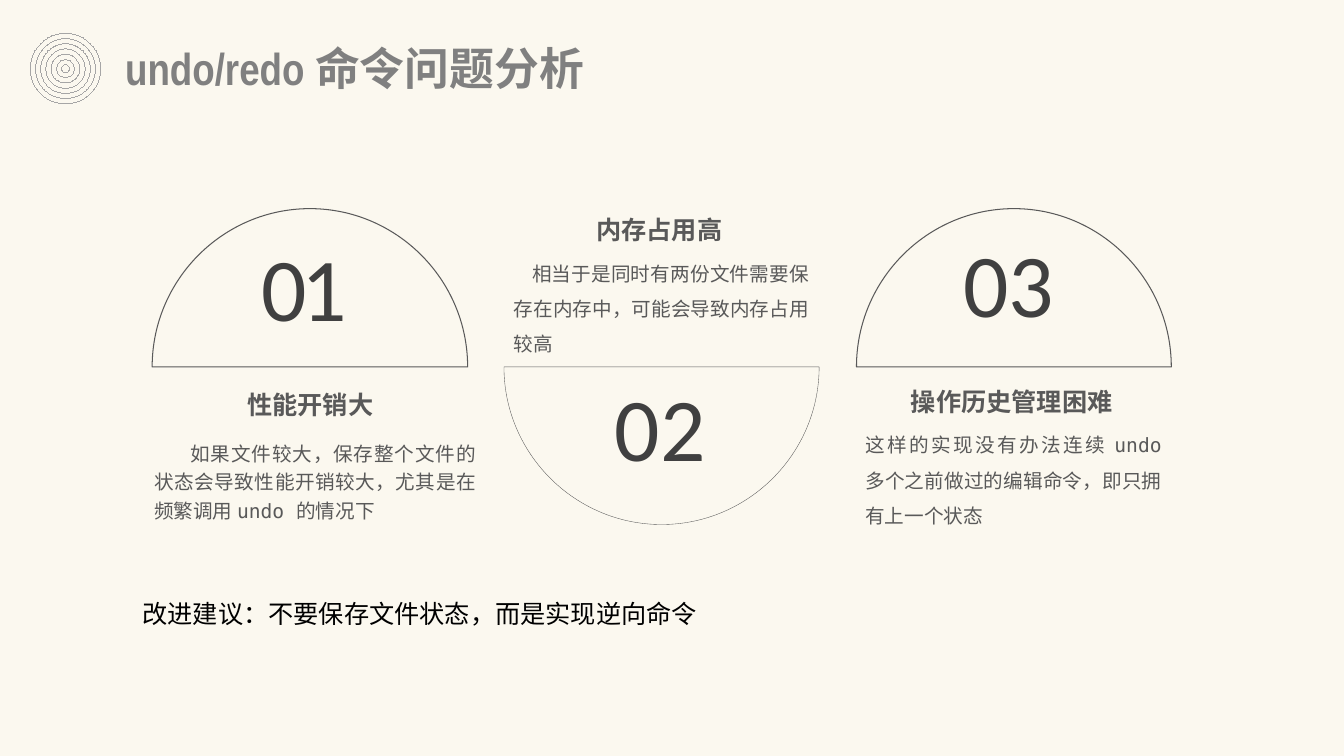
from dataclasses import dataclass

from lxml import etree
from pptx import Presentation
from pptx.dml.color import RGBColor
from pptx.enum.shapes import MSO_SHAPE
from pptx.enum.text import MSO_AUTO_SIZE, PP_ALIGN
from pptx.oxml.ns import qn
from pptx.slide import Slide
from pptx.util import Pt

PX = 3048  # EMU per px, 300 px to the inch
WIDE, HIGH = 4000, 2250
OVAL, RECT = MSO_SHAPE.OVAL, MSO_SHAPE.RECTANGLE
GROW = MSO_AUTO_SIZE.SHAPE_TO_FIT_TEXT
LEFT, MID, JUST = PP_ALIGN.LEFT, PP_ALIGN.CENTER, PP_ALIGN.JUSTIFY
MONO, SANS, SLIM = "DejaVu Sans Mono", "Calibri", "Arial Narrow"
COLORS = {
    "paper": "FBF8EF",
    "ring": "A6A6A6",
    "title": "808080",
    "body": "595959",
    "digit": "404040",
    "note": "000000",
}
BEND = 0.55  # handle length of a quarter circle, in radii


@dataclass
class Style:
    font: str
    size: int
    color: str
    bold: bool = False
    align: PP_ALIGN = LEFT
    lines: float = 1.0
    before: float = 0
    after: float = 0
    pad: int = 15


@dataclass
class Label:
    text: str
    left: int
    top: int
    width: int
    height: int
    style: Style
    indent: int = 0
    track: int = 0  # hundredths of a point


@dataclass
class Dome:
    left: int
    width: int
    rise: int  # negative hangs below the shared edge
    line: float


TITLE = Style(SLIM, 32, "title", bold=True)
DIGIT = Style(SANS, 64, "digit")
HEAD = Style(MONO, 18, "body", True, MID, 1.2, before=8.5, pad=0)
TIGHT = Style(MONO, 14, "body", align=JUST, lines=1.2, before=8.5)
LOOSE = Style(MONO, 14, "body", align=JUST, lines=1.5, after=6)
NOTE = Style(SANS, 18, "note")

BASE = 1092  # shared flat edge of the half discs
DOMES = [
    Dome(453, 939, 471, 0.75),
    Dome(1500, 938, -469, 0.25),
    Dome(2549, 937, 471, 0.75),
]
LABELS = [
    Label("01", 750, 674, 429, 354, DIGIT, track=-400),
    Label("02", 1800, 1092, 429, 354, DIGIT),
    Label("03", 2838, 664, 429, 354, DIGIT),
    Label("如果文件较大，保存整个文件的状态会导致性能开销较大，"
          "尤其是在频繁调用 undo 的情况下", 429, 1287, 1017, 276, TIGHT, indent=108),
    Label("性能开销大", 454, 1140, 939, 99, HEAD),
    Label("相当于是同时有两份文件需要保存在内存中，可能会导致内存占用较高",
          1500, 729, 938, 336, LOOSE, indent=54),
    Label("内存占用高", 1494, 621, 936, 99, HEAD),
    Label("这样的实现没有办法连续 undo 多个之前做过的编辑命令，即只拥有上一个状态",
          2546, 1240, 941, 336, LOOSE),
    Label("操作历史管理困难", 2534, 1131, 954, 99, HEAD),
    Label("undo/redo 命令问题分析", 343, 108, 1929, 192, TITLE),
    Label("改进建议：不要保存文件状态，而是实现逆向命令", 395, 1767, 1758, 120, NOTE),
]


def paint(name: str) -> RGBColor:
    return RGBColor.from_string(COLORS[name])


def draw_paper(slide: Slide) -> None:
    sheet = slide.shapes.add_shape(RECT, 0, 0, WIDE * PX, HIGH * PX)
    sheet.shadow.inherit = False
    sheet.fill.solid()
    sheet.fill.fore_color.rgb = paint("paper")
    sheet.line.fill.background()


def draw_rings(slide: Slide) -> None:
    edge_x, edge_y, count, outer, inner = 90, 99, 7, 210, 24
    for i in range(count):
        inset = round((outer - inner) * i / (count - 1) / 2)
        size = outer - 2 * inset
        ring = slide.shapes.add_shape(
            OVAL, (edge_x + inset) * PX, (edge_y + inset) * PX, size * PX, size * PX)
        ring.shadow.inherit = False
        ring.fill.solid()
        ring.fill.fore_color.rgb = paint("paper")
        ring.line.color.rgb = paint("ring")
        ring.line.width = Pt(0.01)


def draw_dome(slide: Slide, dome: Dome) -> None:
    left, right = dome.left, dome.left + dome.width
    mid, top = (left + right) / 2, BASE - dome.rise
    reach, lift = BEND * dome.width / 2, BASE - BEND * dome.rise
    points = [
        (mid - reach, top), (left, lift), (left, BASE),
        (right, BASE), (right, BASE), (right, BASE),
        (right, lift), (mid + reach, top), (mid, top),
    ]
    pen = slide.shapes.build_freeform(round(mid * PX), top * PX)
    pen.add_line_segments([(round(x * PX), round(y * PX)) for x, y in points])
    arc = pen.convert_to_shape()

    # Every three points become one curve
    steps = list(arc._element.iter(qn("a:lnTo")))
    for i in range(0, len(steps), 3):
        curve = etree.Element(qn("a:cubicBezTo"))
        steps[i].addprevious(curve)
        for step in steps[i:i + 3]:
            curve.append(step[0])
            step.getparent().remove(step)
    etree.SubElement(curve.getparent(), qn("a:close"))

    arc.shadow.inherit = False
    arc.fill.background()
    arc.line.color.rgb = paint("body")
    arc.line.width = Pt(dome.line)


def draw_label(slide: Slide, label: Label) -> None:
    style = label.style
    box = slide.shapes.add_textbox(
        label.left * PX, label.top * PX, label.width * PX, label.height * PX)
    frame = box.text_frame
    frame.word_wrap = True
    frame.auto_size = GROW
    frame.margin_left = frame.margin_right = 30 * PX
    frame.margin_top = frame.margin_bottom = style.pad * PX
    para = frame.paragraphs[0]
    para.alignment = style.align
    para.line_spacing = style.lines
    para.space_before = Pt(style.before)
    para.space_after = Pt(style.after)
    if label.indent:
        para._p.get_or_add_pPr().set("indent", str(label.indent * PX))
    run = para.add_run()
    run.text = label.text
    font = run.font
    font.name = style.font
    font.size = Pt(style.size)
    font.bold = style.bold
    font.color.rgb = paint(style.color)
    if label.track:
        run._r.get_or_add_rPr().set("spc", str(label.track))


def main() -> None:
    deck = Presentation()
    deck.slide_width, deck.slide_height = WIDE * PX, HIGH * PX
    slide = deck.slides.add_slide(deck.slide_layouts[6])

    # Backdrop and corner mark
    draw_paper(slide)
    draw_rings(slide)

    # Half discs, then all wording
    for dome in DOMES:
        draw_dome(slide, dome)
    for label in LABELS:
        draw_label(slide, label)
    deck.save("out.pptx")


if __name__ == "__main__":
    main()
